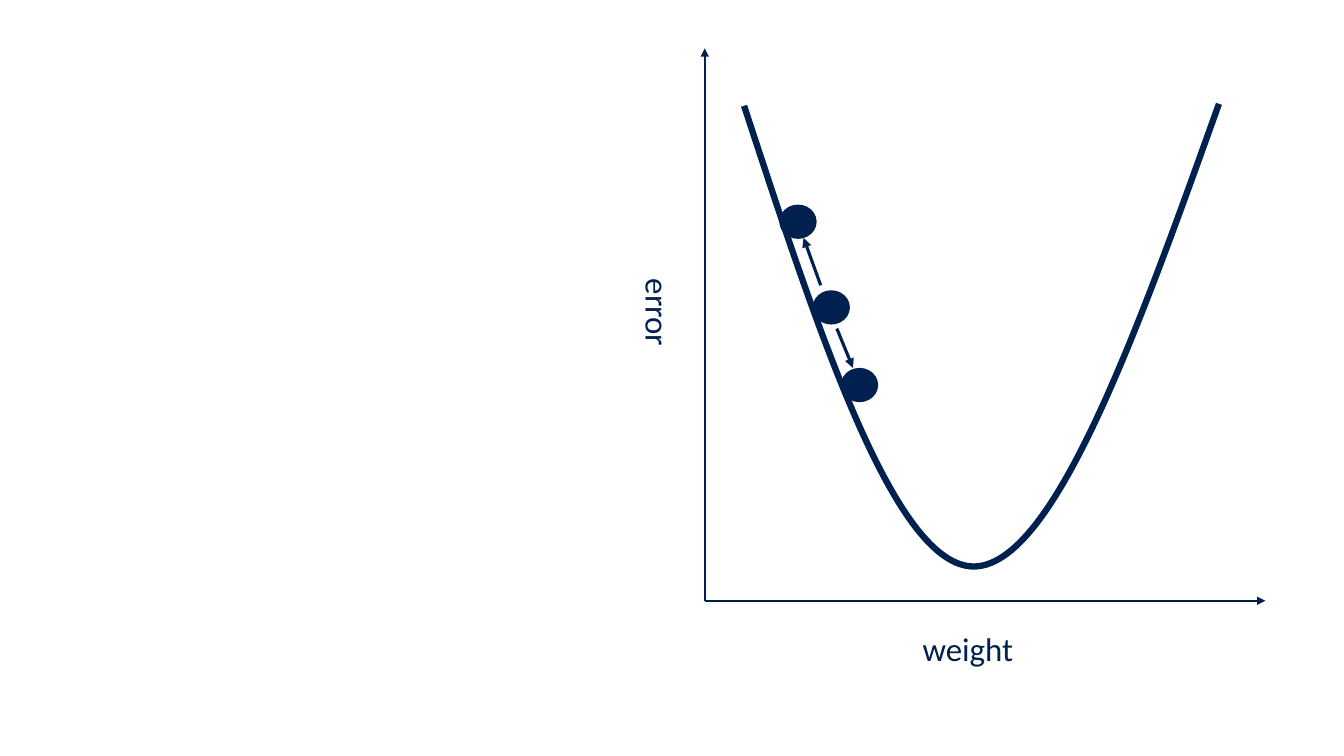
from dataclasses import dataclass

from lxml import etree
from pptx import Presentation
from pptx.dml.color import RGBColor
from pptx.enum.shapes import MSO_CONNECTOR, MSO_SHAPE
from pptx.enum.text import MSO_AUTO_SIZE
from pptx.oxml.ns import qn
from pptx.slide import Slide
from pptx.util import Inches, Pt

STRAIGHT = MSO_CONNECTOR.STRAIGHT
OVAL = MSO_SHAPE.OVAL
GROW_TO_TEXT = MSO_AUTO_SIZE.SHAPE_TO_FIT_TEXT
NAVY = RGBColor(0x00, 0x20, 0x50)
FONT = "Calibri"
BALL_WIDTH, BALL_HEIGHT = 0.37, 0.34

Point = tuple[float, float]


@dataclass(frozen=True)
class Arrow:
    start: Point
    end: Point
    weight: float


@dataclass(frozen=True)
class AxisLabel:
    text: str
    left: float
    top: float
    width: float
    height: float
    rotation: float = 0


ORIGIN = (6.99, 5.96)
AXES = [
    Arrow(ORIGIN, (6.99, 0.48), 1.5),
    Arrow(ORIGIN, (12.55, 5.96), 1.5),
]
STEPS = [
    Arrow((8.14, 2.83), (7.97, 2.36), 2.25),
    Arrow((8.3, 3.26), (8.46, 3.65), 2.25),
]
LABELS = [
    AxisLabel("weight", 8.95, 6.12, 1.31, 0.67),
    AxisLabel("error", 5.96, 2.78, 1.1, 0.67, 90),
]
BALLS = [(8.06, 2.88), (8.34, 3.65), (7.73, 2.03)]
ERROR_CURVE = [
    (7.38, 1.05),
    (8.13, 3.34), (8.88, 5.62), (9.66, 5.62),
    (10.45, 5.61), (11.27, 3.32), (12.09, 1.03),
]


def draw_curve(slide: Slide, points: list[Point], weight: float) -> None:
    corners = [(Inches(x), Inches(y)) for x, y in points]
    builder = slide.shapes.build_freeform(*corners[0])
    builder.add_line_segments(corners[1:], close=False)
    curve = builder.convert_to_shape()
    curve.shadow.inherit = False
    curve.fill.background()
    curve.line.color.rgb = NAVY
    curve.line.width = Pt(weight)
    segments = list(curve._element.iter(qn("a:lnTo")))
    outline = segments[0].getparent()
    for first in range(0, len(segments), 3):
        bezier = etree.SubElement(outline, qn("a:cubicBezTo"))
        for segment in segments[first:first + 3]:
            bezier.append(segment[0])
            outline.remove(segment)


def draw_arrow(slide: Slide, arrow: Arrow) -> None:
    ends = [Inches(value) for value in arrow.start + arrow.end]
    connector = slide.shapes.add_connector(STRAIGHT, *ends)
    connector.line.color.rgb = NAVY
    connector.line.width = Pt(arrow.weight)
    etree.SubElement(connector.line._get_or_add_ln(), qn("a:tailEnd"), type="triangle")
    etree.SubElement(connector._element.spPr, qn("a:effectLst"))


def draw_label(slide: Slide, label: AxisLabel) -> None:
    box = slide.shapes.add_textbox(
        Inches(label.left), Inches(label.top), Inches(label.width), Inches(label.height)
    )
    box.rotation = label.rotation
    frame = box.text_frame
    frame.word_wrap = False
    frame.auto_size = GROW_TO_TEXT
    frame.margin_left = frame.margin_right = Inches(0.2)
    frame.margin_top = frame.margin_bottom = Inches(0.16)
    paragraph = frame.paragraphs[0]
    paragraph.line_spacing = 0.9
    paragraph.space_after = Pt(5.9)
    run = paragraph.add_run()
    run.text = label.text
    run.font.name = FONT
    run.font.size = Pt(23.5)
    run.font.color.rgb = NAVY


def draw_ball(slide: Slide, left: float, top: float) -> None:
    ball = slide.shapes.add_shape(
        OVAL, Inches(left), Inches(top), Inches(BALL_WIDTH), Inches(BALL_HEIGHT)
    )
    ball.shadow.inherit = False
    ball.fill.solid()
    ball.fill.fore_color.rgb = NAVY
    ball.line.fill.background()


def main() -> None:
    presentation = Presentation()
    presentation.slide_width = Inches(13.33)
    presentation.slide_height = Inches(7.5)
    slide = presentation.slides.add_slide(presentation.slide_layouts[6])
    draw_curve(slide, ERROR_CURVE, 4.5)
    for axis in AXES:
        draw_arrow(slide, axis)
    for label in LABELS:
        draw_label(slide, label)
    for left, top in BALLS:
        draw_ball(slide, left, top)
    for step in STEPS:
        draw_arrow(slide, step)
    presentation.save("out.pptx")


if __name__ == "__main__":
    main()
